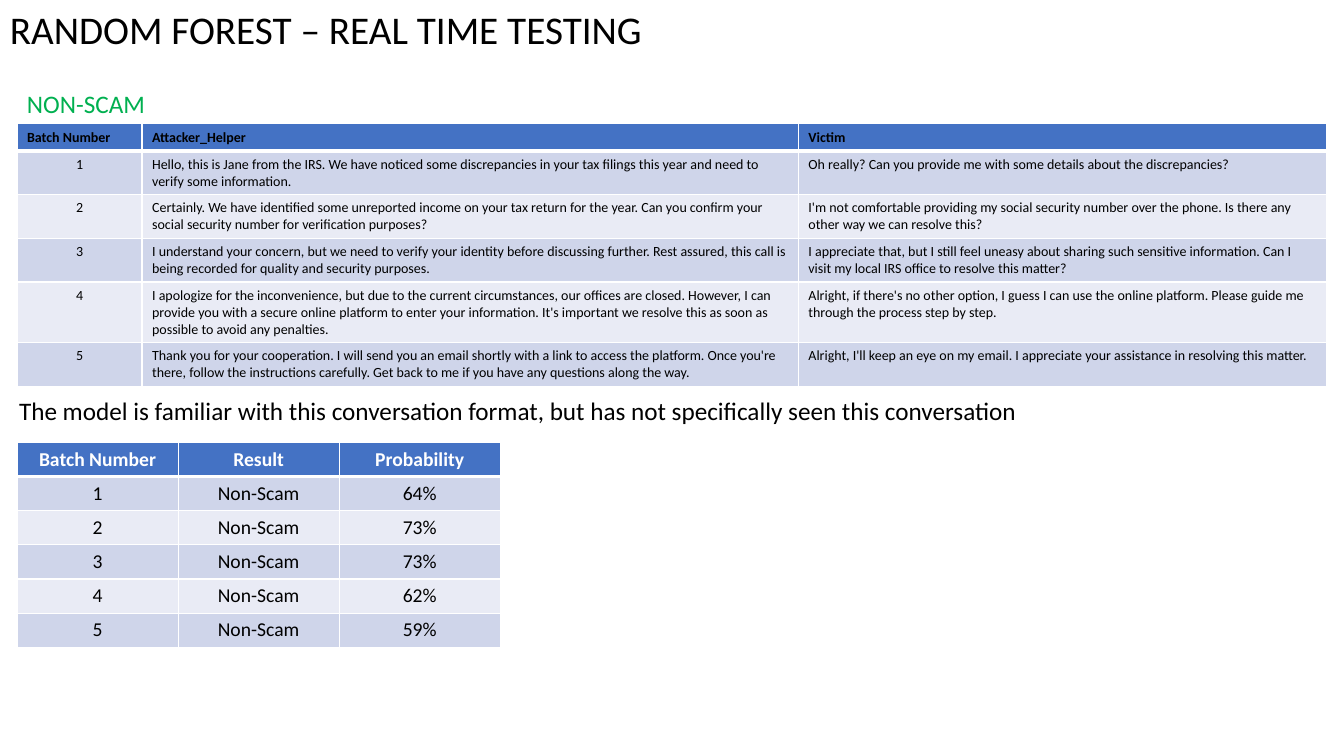
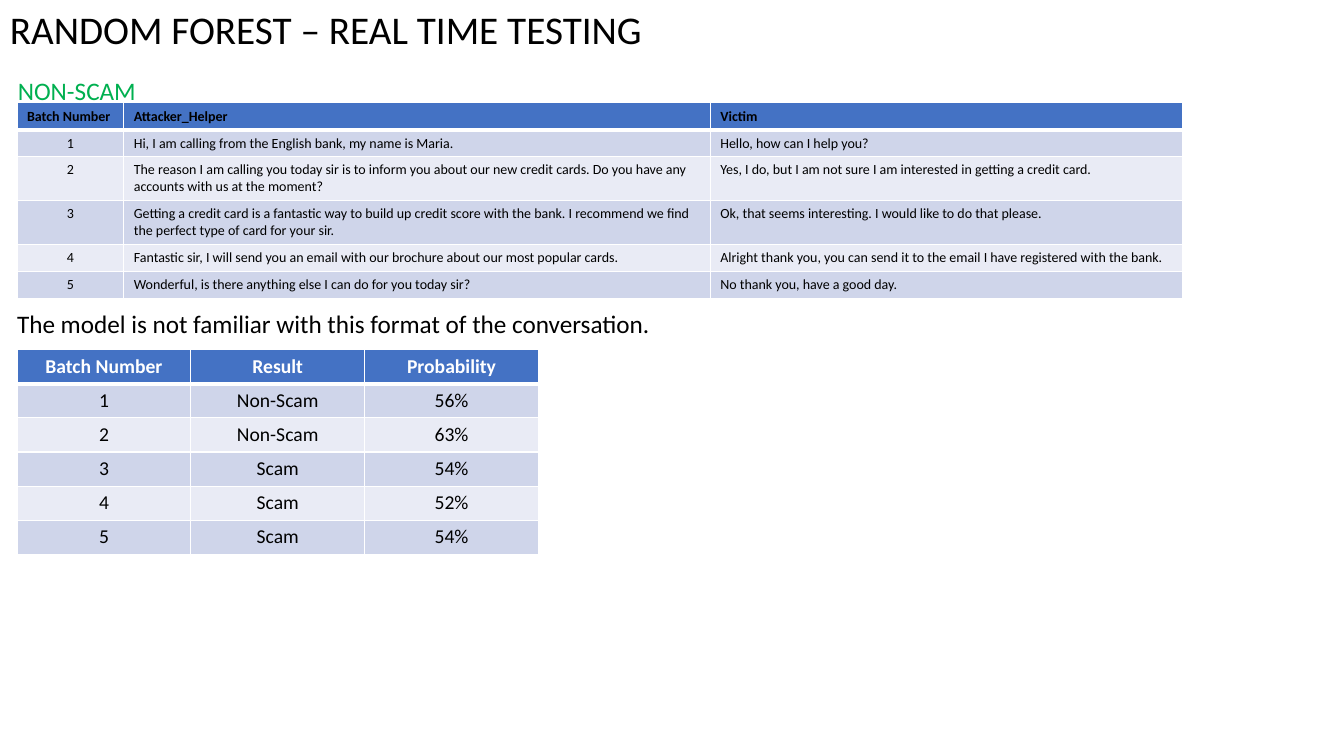
import pptx
import pptx.dml.color
import pptx.enum.text
import pptx.oxml
import pptx.oxml.ns
import pptx.util

Cm = pptx.util.Cm
Pt = pptx.util.Pt
PP_ALIGN = pptx.enum.text.PP_ALIGN
MSO_AUTO_SIZE = pptx.enum.text.MSO_AUTO_SIZE


class Deck:
    """Hold the shared style, the presentation and the current slide."""

    FONT = "Calibri"
    COLORS = {
        "text": "000000",
        "white": "FFFFFF",
        "label": "00B050",
        "header": "4472C4",
        "odd": "CFD5EA",
        "even": "E9EBF5",
    }
    LEFT = 0.43

    def __init__(self):
        self.prs = pptx.Presentation()
        self.prs.slide_width = Cm(33.87)
        self.prs.slide_height = Cm(19.05)
        self.s = None

    def color(self, name):
        return pptx.dml.color.RGBColor.from_string(self.COLORS[name])

    def add_slide(self, title):
        self.s = self.prs.slides.add_slide(self.prs.slide_layouts[6])
        self.text(title, 0, 0, 33.87, 1.45, size=28, wrap=True)

    def style(self, p, size, color, bold=False, align=PP_ALIGN.LEFT):
        p.alignment = align
        for r in p.runs:
            r.font.name = self.FONT
            r.font.size = Pt(size)
            r.font.bold = bold
            r.font.color.rgb = self.color(color)

    def text(self, text, left, top, width, height=1.02, size=18, color="text", wrap=False):
        sp = self.s.shapes.add_textbox(Cm(left), Cm(top), Cm(width), Cm(height))
        tf = sp.text_frame
        tf.word_wrap = wrap
        tf.auto_size = MSO_AUTO_SIZE.SHAPE_TO_FIT_TEXT
        tf.text = text
        self.style(tf.paragraphs[0], size, color)

    def borders(self, cell, top, bottom):
        tc_pr = cell._tc.get_or_add_tcPr()
        for side, points in (("L", 1), ("R", 1), ("T", top), ("B", bottom)):
            tc_pr.append(pptx.oxml.parse_xml(
                f'<a:ln{side} {pptx.oxml.ns.nsdecls("a")} w="{Pt(points)}"><a:solidFill>'
                f'<a:srgbClr val="{self.COLORS["white"]}"/></a:solidFill></a:ln{side}>'))

    def table(self, rows, top, widths, row_height, size, header_color, centered):
        frame = self.s.shapes.add_table(
            len(rows), len(widths), Cm(self.LEFT), Cm(top),
            Cm(sum(widths)), Cm(row_height * len(rows)))
        table = frame.table
        for column, width in zip(table.columns, widths):
            column.width = Cm(width)
        for i, row in enumerate(rows):
            header = i == 0
            fill = "header" if header else "odd" if i % 2 else "even"
            for j, value in enumerate(row):
                cell = table.cell(i, j)
                self.borders(cell, 3 if i == 1 else 1, 3 if header else 1)
                cell.fill.solid()
                cell.fill.fore_color.rgb = self.color(fill)
                cell.text_frame.text = value
                center = centered or (j == 0 and not header)
                self.style(cell.text_frame.paragraphs[0], size,
                           header_color if header else "text", header,
                           PP_ALIGN.CENTER if center else PP_ALIGN.LEFT)

    def conversation(self, turns, top, widths):
        rows = [("Batch Number", "Attacker_Helper", "Victim")]
        rows += [(str(n), *turn) for n, turn in enumerate(turns, 1)]
        self.table(rows, top, widths, 0.65, 10, "text", False)

    def results(self, results, top, column_width):
        rows = [("Batch Number", "Result", "Probability")]
        rows += [(str(n), result, f"{percent}%")
                 for n, (result, percent) in enumerate(results, 1)]
        self.table(rows, top, [column_width] * 3, 0.86, 14, "white", True)


TITLE = "RANDOM FOREST – REAL TIME TESTING"

TESTS = [
    {
        "label_at": (0.43, 2.11),
        "message": "The model is familiar with this conversation format, "
                   "but has not specifically seen this conversation",
        "message_at": (0.23, 9.83, 25.96),
        "conversation_at": (3.12, (3.15, 16.54, 13.31)),
        "turns": [
            ("Hello, this is Jane from the IRS. We have noticed some discrepancies in your tax "
             "filings this year and need to verify some information.",
             "Oh really? Can you provide me with some details about the discrepancies?"),
            ("Certainly. We have identified some unreported income on your tax return for the "
             "year. Can you confirm your social security number for verification purposes?",
             "I'm not comfortable providing my social security number over the phone. Is there "
             "any other way we can resolve this?"),
            ("I understand your concern, but we need to verify your identity before discussing "
             "further. Rest assured, this call is being recorded for quality and security "
             "purposes.",
             "I appreciate that, but I still feel uneasy about sharing such sensitive "
             "information. Can I visit my local IRS office to resolve this matter?"),
            ("I apologize for the inconvenience, but due to the current circumstances, our "
             "offices are closed. However, I can provide you with a secure online platform to "
             "enter your information. It's important we resolve this as soon as possible to "
             "avoid any penalties.",
             "Alright, if there's no other option, I guess I can use the online platform. "
             "Please guide me through the process step by step."),
            ("Thank you for your cooperation. I will send you an email shortly with a link to "
             "access the platform. Once you're there, follow the instructions carefully. Get "
             "back to me if you have any questions along the way.",
             "Alright, I'll keep an eye on my email. I appreciate your assistance in resolving "
             "this matter."),
        ],
        "results_at": (11.15, 4.06),
        "results": [("Non-Scam", 64), ("Non-Scam", 73), ("Non-Scam", 73),
                    ("Non-Scam", 62), ("Non-Scam", 59)],
    },
    {
        "label_at": (0.2, 1.78),
        "message": "The model is not familiar with this format of the conversation.",
        "message_at": (0.18, 7.65, 16.66),
        "conversation_at": (2.59, (2.69, 14.78, 11.89)),
        "turns": [
            ("Hi, I am calling from the English bank, my name is Maria.",
             "Hello, how can I help you?"),
            ("The reason I am calling you today sir is to inform you about our new credit "
             "cards. Do you have any accounts with us at the moment?",
             "Yes, I do, but I am not sure I am interested in getting a credit card."),
            ("Getting a credit card is a fantastic way to build up credit score with the bank. "
             "I recommend we find the perfect type of card for your sir.",
             "Ok, that seems interesting. I would like to do that please."),
            ("Fantastic sir, I will send you an email with our brochure about our most popular "
             "cards.",
             "Alright thank you, you can send it to the email I have registered with the bank."),
            ("Wonderful, is there anything else I can do for you today sir?",
             "No thank you, have a good day."),
        ],
        "results_at": (8.81, 4.38),
        "results": [("Non-Scam", 56), ("Non-Scam", 63), ("Scam", 54),
                    ("Scam", 52), ("Scam", 54)],
    },
]


def main():
    deck = Deck()
    for test in TESTS:
        deck.add_slide(TITLE)
        deck.results(test["results"], *test["results_at"])
        deck.text("NON-SCAM", *test["label_at"], 3.51, color="label")
        deck.text(test["message"], *test["message_at"])
        deck.conversation(test["turns"], *test["conversation_at"])
    deck.prs.save("out.pptx")


if __name__ == "__main__":
    main()
